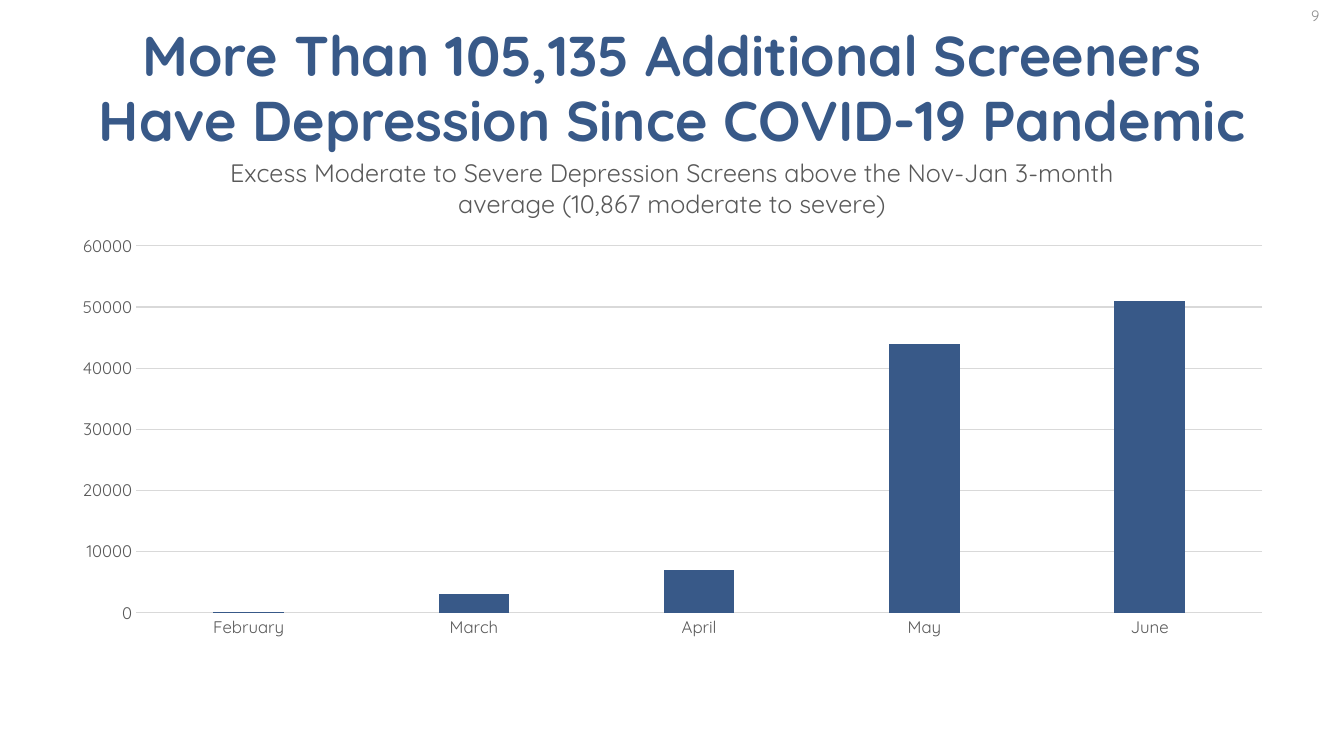
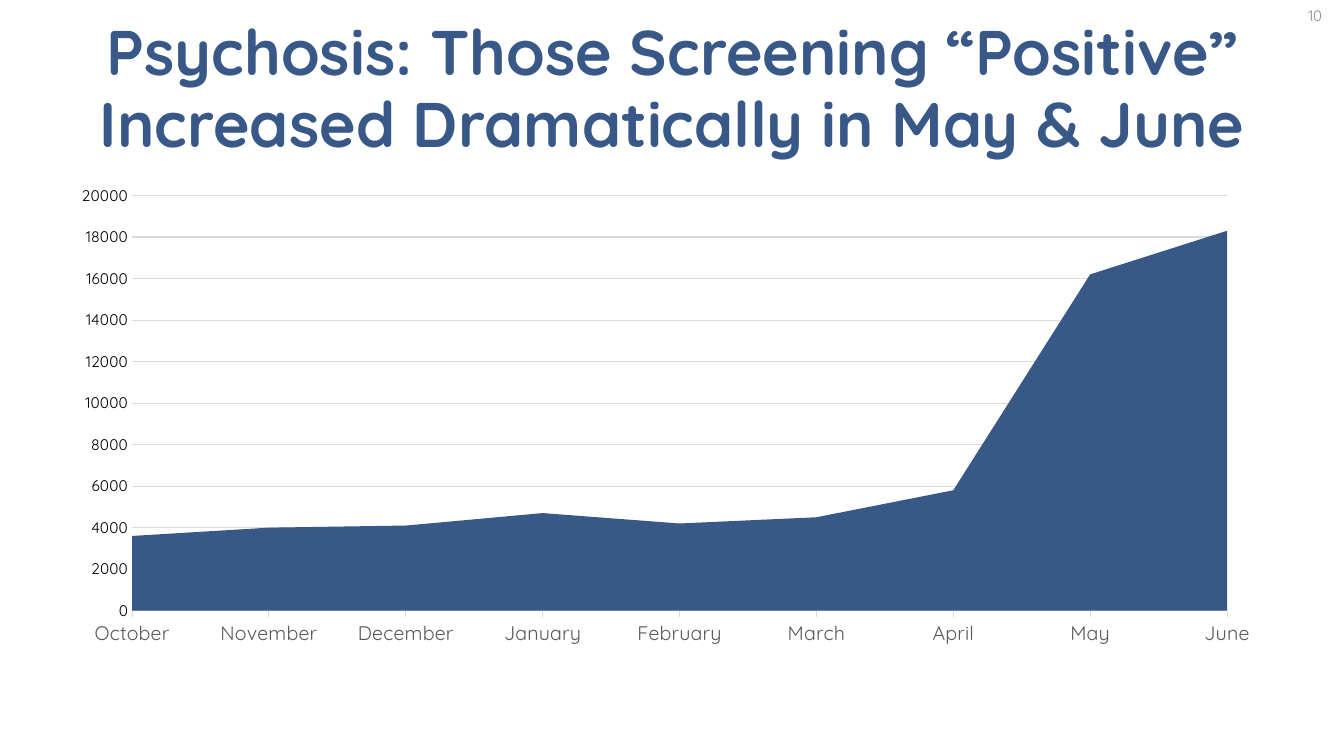
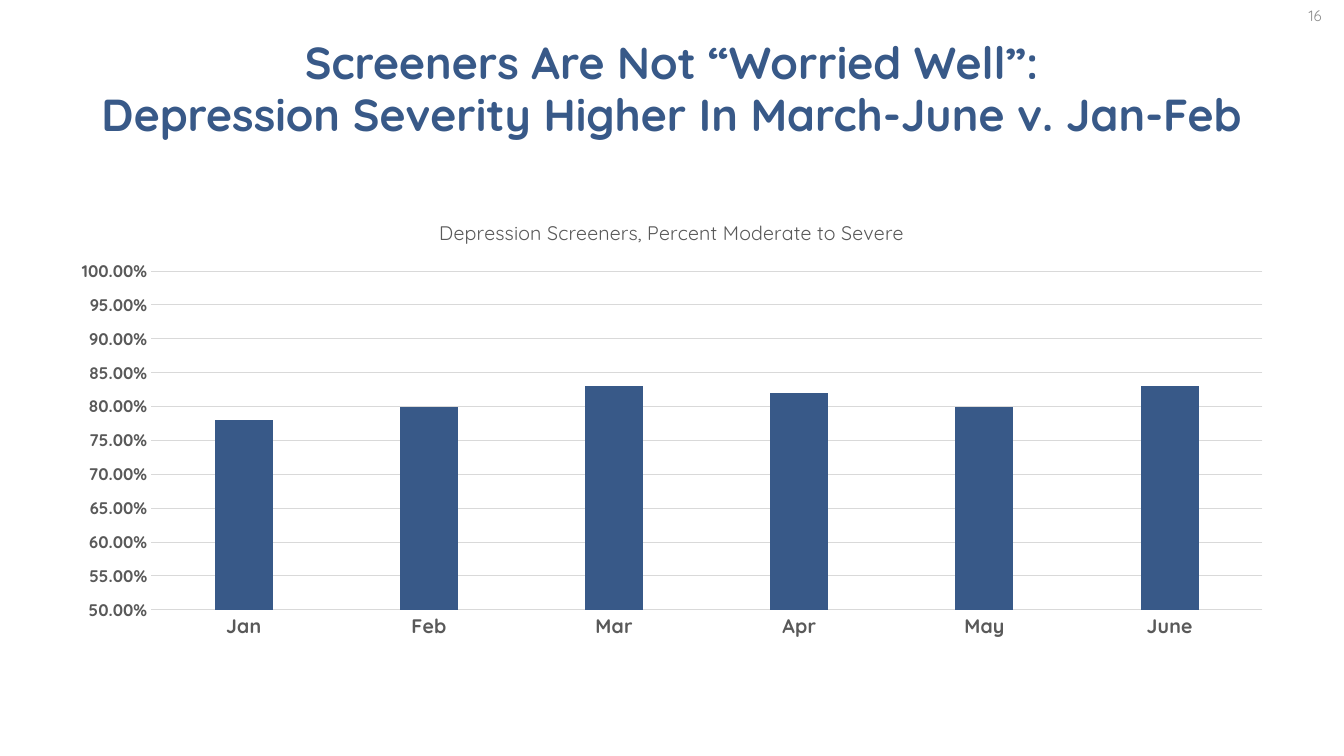
from lxml import etree
from pptx import Presentation
from pptx import util as u
from pptx.chart.data import CategoryChartData
from pptx.dml.color import RGBColor
from pptx.enum import chart as ch, text
from pptx.oxml.ns import qn

INK = {"blue": "385988", "gray": "595959", "rule": "D9D9D9",
       "page": "8C8C8C", "black": "000000"}
FACE = "Quicksand"


def style(font, size, ink, bold=False):
    font.name = FACE
    font.size = u.Pt(size)
    font.bold = bold
    font.color.rgb = RGBColor.from_string(INK[ink])


def label(slide, box, words, size, ink, bold=False):
    frame = slide.shapes.add_textbox(*[u.Inches(n) for n in box]).text_frame
    frame.word_wrap = True
    frame.vertical_anchor = text.MSO_ANCHOR.MIDDLE
    frame.text = words
    for para in frame.paragraphs:
        para.alignment = text.PP_ALIGN.CENTER
        para.line_spacing = 0.96
        for run in para.runs:
            style(run.font, size, ink, bold)


# Boxes and plots are left, top, width, height; axes are low, high, step
pages = [
    {"num": "9", "size": 40,
     "title": "More Than 105,135 Additional Screeners Have Depression "
              "Since COVID-19 Pandemic",
     "kind": ch.XL_CHART_TYPE.COLUMN_CLUSTERED,
     "box": (0.57, 1.33, 12.19, 5.1), "plot": (1.35, 2.44, 11.17, 3.64),
     "head": "Excess Moderate to Severe Depression Screens above the Nov-Jan "
             "3-month average (10,867 moderate to severe)",
     "headsize": 18,
     "cats": ["February", "March", "April", "May", "June"],
     "vals": [200, 3000, 7000, 44000, 51000],
     "axis": (0, 60000, 10000), "form": "General",
     "catfont": (12, "gray"), "valfont": (12, "gray")},
    {"num": "10", "size": 45,
     "title": "Psychosis: Those Screening “Positive” Increased Dramatically "
              "in May & June",
     "kind": ch.XL_CHART_TYPE.AREA_STACKED,
     "box": (0.57, 1.75, 12.07, 4.75), "plot": (1.31, 1.94, 10.86, 4.12),
     "head": None,
     "cats": ["October", "November", "December", "January", "February",
              "March", "April", "May", "June"],
     "vals": [3600, 4000, 4100, 4700, 4200, 4500, 5800, 16200, 18300],
     "axis": (0, 20000, 2000), "form": "General",
     "catfont": (14, "gray"), "valfont": (11, "black")},
    {"num": "16", "size": 32,
     "title": "Screeners Are Not “Worried Well”:\n"
              "Depression Severity Higher In March-June v. Jan-Feb",
     "kind": ch.XL_CHART_TYPE.COLUMN_CLUSTERED,
     "box": (0.57, 1.99, 12.19, 4.44), "plot": (1.5, 2.69, 11.02, 3.36),
     "head": "Depression Screeners, Percent Moderate to Severe",
     "headsize": 14,
     "cats": ["Jan", "Feb", "Mar", "Apr", "May", "June"],
     "vals": [0.78, 0.8, 0.83, 0.82, 0.8, 0.83],
     "axis": (0.5, 1, 0.05), "form": "0.00%",
     "catfont": (14, "gray", True), "valfont": (12, "gray", True)},
]

deck = Presentation()
deck.slide_width = u.Inches(13.33)
deck.slide_height = u.Inches(7.5)

for page in pages:
    slide = deck.slides.add_slide(deck.slide_layouts[6])

    # Title and page number
    label(slide, (0.56, 0.53, 12.21, 0.72), page["title"], page["size"],
          "blue", True)
    label(slide, (12.76, 0, 0.57, 0.32), page["num"], 10.7, "page")

    # Chart
    data = CategoryChartData()
    data.categories = page["cats"]
    data.add_series("Series 1", page["vals"])
    box = page["box"]
    chart = slide.shapes.add_chart(
        page["kind"], *[u.Inches(n) for n in box], data).chart
    style(chart.font, 10, "black")
    chart.has_legend = False
    chart.has_title = bool(page["head"])
    if page["head"]:
        frame = chart.chart_title.text_frame
        frame.text = page["head"]
        style(frame.paragraphs[0].runs[0].font, page["headsize"], "gray")
        chart.chart_title.include_in_layout = False

    # Series
    plot = chart.plots[0]
    plot.vary_by_categories = False
    bars = page["kind"] == ch.XL_CHART_TYPE.COLUMN_CLUSTERED
    if bars:
        plot.gap_width = 219
        plot.overlap = -27
    fill = plot.series[0].format.fill
    fill.solid()
    fill.fore_color.rgb = RGBColor.from_string(INK["blue"])

    # Axes
    cat, val = chart.category_axis, chart.value_axis
    style(cat.tick_labels.font, *page["catfont"])
    style(val.tick_labels.font, *page["valfont"])
    val.minimum_scale, val.maximum_scale, val.major_unit = page["axis"]
    val.tick_labels.number_format = page["form"]
    val.tick_labels.number_format_is_linked = False
    val.major_tick_mark = ch.XL_TICK_MARK.NONE
    cat.major_tick_mark = (ch.XL_TICK_MARK.NONE if bars
                           else ch.XL_TICK_MARK.OUTSIDE)
    val.has_major_gridlines = True
    val.format.line.fill.background()
    for line in (cat.format.line, val.major_gridlines.format.line):
        line.color.rgb = RGBColor.from_string(INK["rule"])
        line.width = u.Pt(0.75)

    # Areas reach the plot edges, columns stand between the ticks
    root = chart.element
    for cross in root.iter(qn("c:crossBetween")):
        cross.set("val", "between" if bars else "midCat")

    # Place the plot inside the chart box
    area = root.find(".//" + qn("c:plotArea"))
    for old in area.findall(qn("c:layout")):
        area.remove(old)
    layout = etree.Element(qn("c:layout"))
    area.insert(0, layout)
    manual = etree.SubElement(layout, qn("c:manualLayout"))
    left, top, wide, high = page["plot"]
    for tag, value in (("layoutTarget", "inner"),
                       ("xMode", "edge"), ("yMode", "edge"),
                       ("x", (left - box[0]) / box[2]),
                       ("y", (top - box[1]) / box[3]),
                       ("w", wide / box[2]), ("h", high / box[3])):
        etree.SubElement(manual, qn("c:" + tag)).set("val", str(value))

deck.save("out.pptx")
